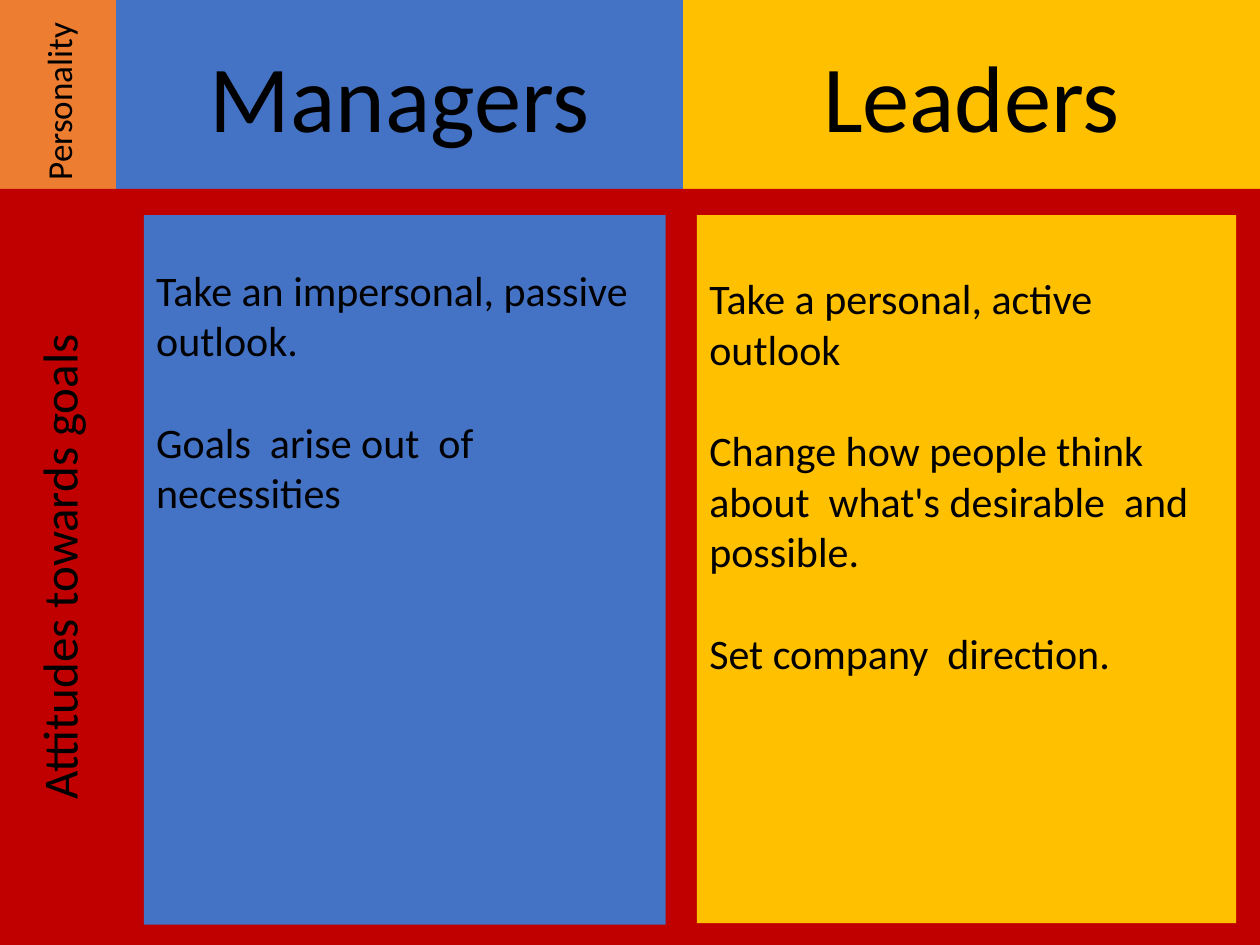
from pptx import Presentation
from pptx import util as u
from pptx.dml.color import RGBColor
from pptx.enum import shapes, text

COLORS = {
    "orange": "ED7D31",
    "blue": "4472C4",
    "gold": "FFC000",
    "red": "C00000",
    "text": "000000",
}
WIDTH, HEIGHT = 25.4, 19.05
LABEL_WIDTH, HEADER_HEIGHT = 2.34, 3.81
LEADERS_LEFT = 13.77
BODY_SIZE = 24
LINE_HEIGHT = 1.22 * BODY_SIZE

MANAGERS = ["Take an impersonal, passive  outlook.",
            "Goals  arise out  of necessities"]
LEADERS = ["Take a personal, active outlook",
           "Change how people think about  what's desirable  and possible.",
           "Set company  direction."]


def add_block(slide, box, color):
    """Add a plain filled rectangle; box is left, top, width, height in cm."""
    shape = slide.shapes.add_shape(shapes.MSO_SHAPE.RECTANGLE, *map(u.Cm, box))
    shape.shadow.inherit = False
    shape.fill.solid()
    shape.fill.fore_color.rgb = RGBColor.from_string(COLORS[color])
    shape.line.fill.background()
    return shape


def style_paragraph(paragraph, size, alignment):
    paragraph.alignment = alignment
    paragraph.font.name = "Calibri"
    paragraph.font.size = u.Pt(size)
    paragraph.font.color.rgb = RGBColor.from_string(COLORS["text"])


def add_heading(slide, box, color, wording, size, vertical=False):
    frame = add_block(slide, box, color).text_frame
    frame.word_wrap = True
    frame.vertical_anchor = text.MSO_ANCHOR.MIDDLE
    if vertical:
        frame._txBody.bodyPr.set("vert", "vert270")
    frame.text = wording
    style_paragraph(frame.paragraphs[0], size, text.PP_ALIGN.CENTER)


def add_panel(slide, box, color, statements, top_margin):
    """Add a panel of statements set one empty line apart."""
    frame = add_block(slide, box, color).text_frame
    frame.word_wrap = True
    frame.vertical_anchor = text.MSO_ANCHOR.TOP
    frame.margin_top = u.Cm(top_margin)
    frame.text = "\n".join(statements)
    for index, paragraph in enumerate(frame.paragraphs):
        style_paragraph(paragraph, BODY_SIZE, text.PP_ALIGN.LEFT)
        if index:
            paragraph.space_before = u.Pt(LINE_HEIGHT)


def add_header(slide, box):
    left, top, width, height = box
    split = left + LABEL_WIDTH
    add_heading(slide, (left, top, LABEL_WIDTH, height + 0.28), "orange",
                "Personality", 20, vertical=True)
    add_heading(slide, (LEADERS_LEFT, top, left + width - LEADERS_LEFT, height),
                "gold", "Leaders", 54)
    add_heading(slide, (split, top, LEADERS_LEFT - split, height),
                "blue", "Managers", 54)


def add_comparison(slide, box):
    left, top, width, height = box
    body_left = left + LABEL_WIDTH
    add_heading(slide, (left, top, LABEL_WIDTH, height), "red",
                "Attitudes towards goals", 28, vertical=True)
    add_block(slide, (body_left, top, width - LABEL_WIDTH, height), "red")
    panel_top = top + 0.53
    add_panel(slide, (body_left + 0.56, panel_top, 10.52, 14.3),
              "blue", MANAGERS, 0.99)
    add_panel(slide, (body_left + 11.71, panel_top, 10.87, 14.27),
              "gold", LEADERS, 1.16)


def main():
    presentation = Presentation()
    presentation.slide_width = u.Cm(WIDTH)
    presentation.slide_height = u.Cm(HEIGHT)
    slide = presentation.slides.add_slide(presentation.slide_layouts[6])
    add_header(slide, (0, 0, WIDTH, HEADER_HEIGHT))
    add_comparison(slide, (0, HEADER_HEIGHT, WIDTH, HEIGHT - HEADER_HEIGHT))
    presentation.save("out.pptx")


if __name__ == "__main__":
    main()
